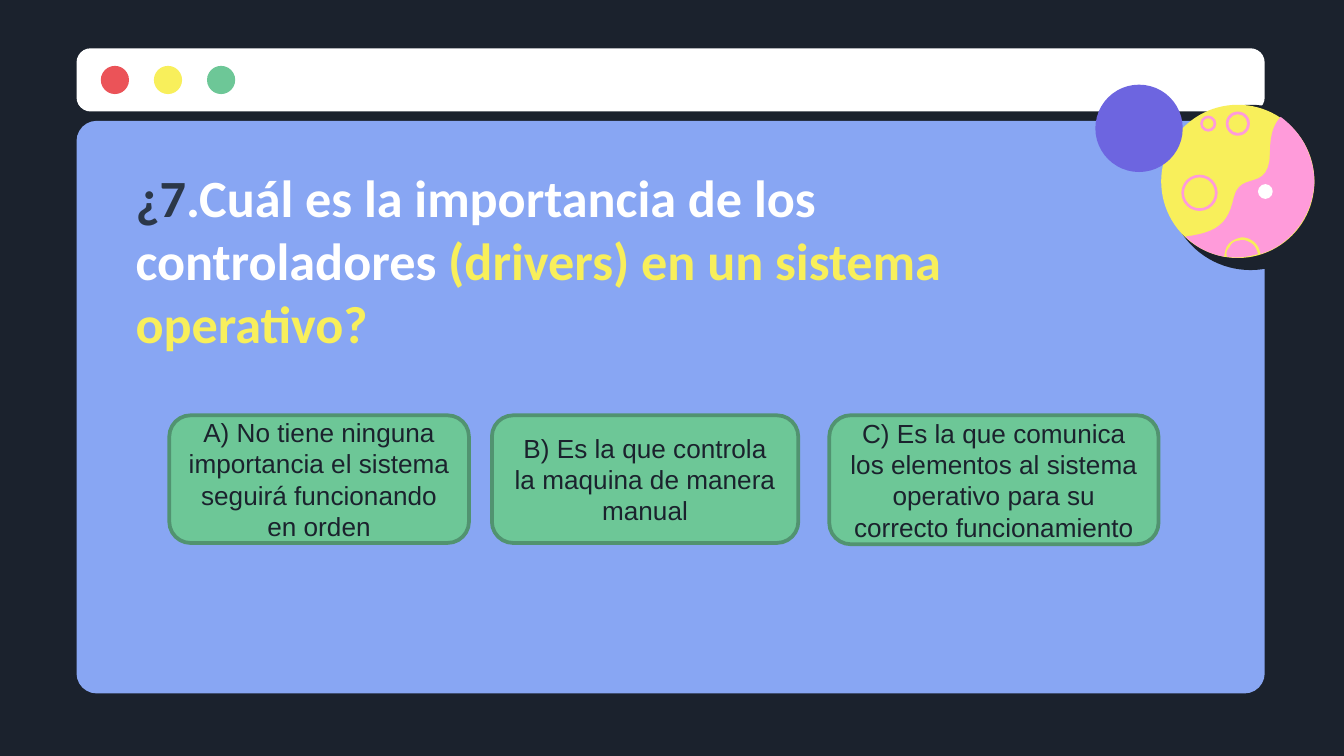
from pptx import Presentation
from pptx.dml.color import RGBColor
from pptx.enum.shapes import MSO_SHAPE
from pptx.enum.text import MSO_ANCHOR, PP_ALIGN
from pptx.util import Inches, Pt

DARK, WHITE, BLUE, PURPLE = "1B222D", "FFFFFF", "88A6F3", "6D65E0"
RED, YELLOW, GREEN, PINK = "EB5358", "F8EF5B", "6DC797", "FF9BDA"


def rgb(value):
    return RGBColor.from_string(value)


def trace(start, curves, steps=12):
    """Points along a chain of cubic curves, each (x1, y1, x2, y2, x3, y3)."""
    points = [start]
    for x1, y1, x2, y2, x3, y3 in curves:
        x0, y0 = points[-1]
        for i in range(1, steps + 1):
            t = i / steps
            a, b, c, d = (1 - t) ** 3, 3 * t * (1 - t) ** 2, 3 * t * t * (1 - t), t ** 3
            points.append((a * x0 + b * x1 + c * x2 + d * x3,
                           a * y0 + b * y1 + c * y2 + d * y3))
    return [(Inches(x), Inches(y)) for x, y in points]


class SlideBuilder:
    font, size = "Arial", Pt(14)

    def __init__(self, slide):
        self.slide = slide

    def style(self, sp, fill, line=None):
        sp.shadow.inherit = False
        sp.fill.solid()
        sp.fill.fore_color.rgb = rgb(fill)
        if line:
            sp.line.color.rgb = rgb(line)
            sp.line.width = Pt(2)
        else:
            sp.line.fill.background()
        return sp

    def shape(self, kind, x, y, w, h, fill, line=None, adj=None):
        sp = self.slide.shapes.add_shape(kind, Inches(x), Inches(y), Inches(w), Inches(h))
        if adj is not None:
            sp.adjustments[0] = adj
        return self.style(sp, fill, line)

    def circle(self, x, y, d, fill):
        return self.shape(MSO_SHAPE.OVAL, x, y, d, d, fill)

    def ring(self, x, y, d, fill):
        return self.shape(MSO_SHAPE.DONUT, x, y, d, d, fill, adj=0.02 / d)

    def outline(self, contours, fill):
        fb = self.slide.shapes.build_freeform(*contours[0][0])
        for i, points in enumerate(contours):
            if i:
                fb.move_to(*points[0])
            fb.add_line_segments(points[1:], close=True)
        return self.style(fb.convert_to_shape(), fill)

    def title(self, x, y, w, h, runs):
        tf = self.slide.shapes.add_textbox(Inches(x), Inches(y), Inches(w), Inches(h)).text_frame
        tf.word_wrap = True
        tf.margin_left = tf.margin_right = tf.margin_top = tf.margin_bottom = Inches(0.1)
        p = tf.paragraphs[0]
        p.font.name, p.font.size, p.font.bold = "Calibri", Pt(28), True
        for text, color in runs:
            r = p.add_run()
            r.text = text
            r.font.color.rgb = rgb(color)

    def answer(self, x, y, w, h, text):
        sp = self.shape(MSO_SHAPE.ROUNDED_RECTANGLE, x, y, w, h, GREEN, "519370")
        tf = sp.text_frame
        tf.word_wrap = True
        tf.vertical_anchor = MSO_ANCHOR.MIDDLE
        p = tf.paragraphs[0]
        p.text = text
        p.alignment = PP_ALIGN.CENTER
        p.font.name, p.font.size = self.font, self.size
        p.font.color.rgb = rgb(DARK)


# Widescreen 16:9 slide
prs = Presentation()
prs.slide_width, prs.slide_height = Inches(10), Inches(10 * 9 / 16)
s = prs.slides.add_slide(prs.slide_layouts[6])
s.background.fill.solid()
s.background.fill.fore_color.rgb = rgb(DARK)
b = SlideBuilder(s)

# Browser window: title bar, buttons, body
b.shape(MSO_SHAPE.ROUNDED_RECTANGLE, 0.57, 0.36, 8.84, 0.47, WHITE, adj=0.223)
for i, color in enumerate((RED, YELLOW, GREEN)):
    b.circle(0.75 + i * 0.395, 0.49, 0.21, color)
b.shape(MSO_SHAPE.ROUNDED_RECTANGLE, 0.57, 0.9, 8.84, 4.26, BLUE, adj=0.035)

# Planet with its shadow, craters and land
b.circle(8.69, 0.78, 1.23, DARK)
b.circle(8.64, 0.78, 1.14, YELLOW)
for x, y, d in ((8.79, 1.3, 0.27), (8.93, 0.86, 0.12), (9.12, 0.83, 0.18)):
    b.ring(x, y, d, PINK)
land = trace((9.53, 0.87), [
    (9.61, 0.93, 9.69, 1.02, 9.73, 1.12),
    (9.76, 1.19, 9.78, 1.27, 9.78, 1.36),
    (9.77, 1.6, 9.61, 1.82, 9.38, 1.89),
    (9.37, 1.84, 9.35, 1.81, 9.32, 1.79),
    (9.29, 1.77, 9.25, 1.76, 9.22, 1.77),
    (9.18, 1.78, 9.15, 1.8, 9.13, 1.83),
    (9.12, 1.85, 9.11, 1.88, 9.11, 1.91),
    (9, 1.89, 8.9, 1.84, 8.82, 1.76),
    (9.06, 1.73, 9.14, 1.66, 9.18, 1.47),
    (9.23, 1.26, 9.45, 1.44, 9.45, 1.13),
    (9.45, 0.98, 9.49, 0.91, 9.53, 0.87)])
rim_crater = trace((9.36, 1.89), [
    (9.35, 1.85, 9.33, 1.82, 9.31, 1.81),
    (9.28, 1.79, 9.25, 1.78, 9.22, 1.79),
    (9.19, 1.79, 9.16, 1.81, 9.15, 1.84),
    (9.13, 1.86, 9.12, 1.88, 9.13, 1.91),
    (9.19, 1.92, 9.25, 1.92, 9.36, 1.89)])
b.outline([land, rim_crater], PINK)
b.circle(9.36, 1.37, 0.11, WHITE)

# Moon
b.circle(8.15, 0.63, 0.65, PURPLE)

# Question
b.title(0.91, 1.13, 7.48, 1.52, [
    ("¿7", "2B3748"),
    (".Cuál es la importancia de los controladores ", WHITE),
    ("(drivers) en un sistema operativo?", YELLOW)])

# Answers
for x, w, h, text in (
        (1.26, 2.23, 0.95, "A) No tiene ninguna importancia el sistema seguirá funcionando en orden"),
        (3.66, 2.28, 0.95, "B) Es la que controla la maquina de manera manual"),
        (6.17, 2.45, 0.96, "C) Es la que comunica los elementos al sistema operativo "
                           "para su correcto funcionamiento")):
    b.answer(x, 3.09, w, h, text)

prs.save("out.pptx")
